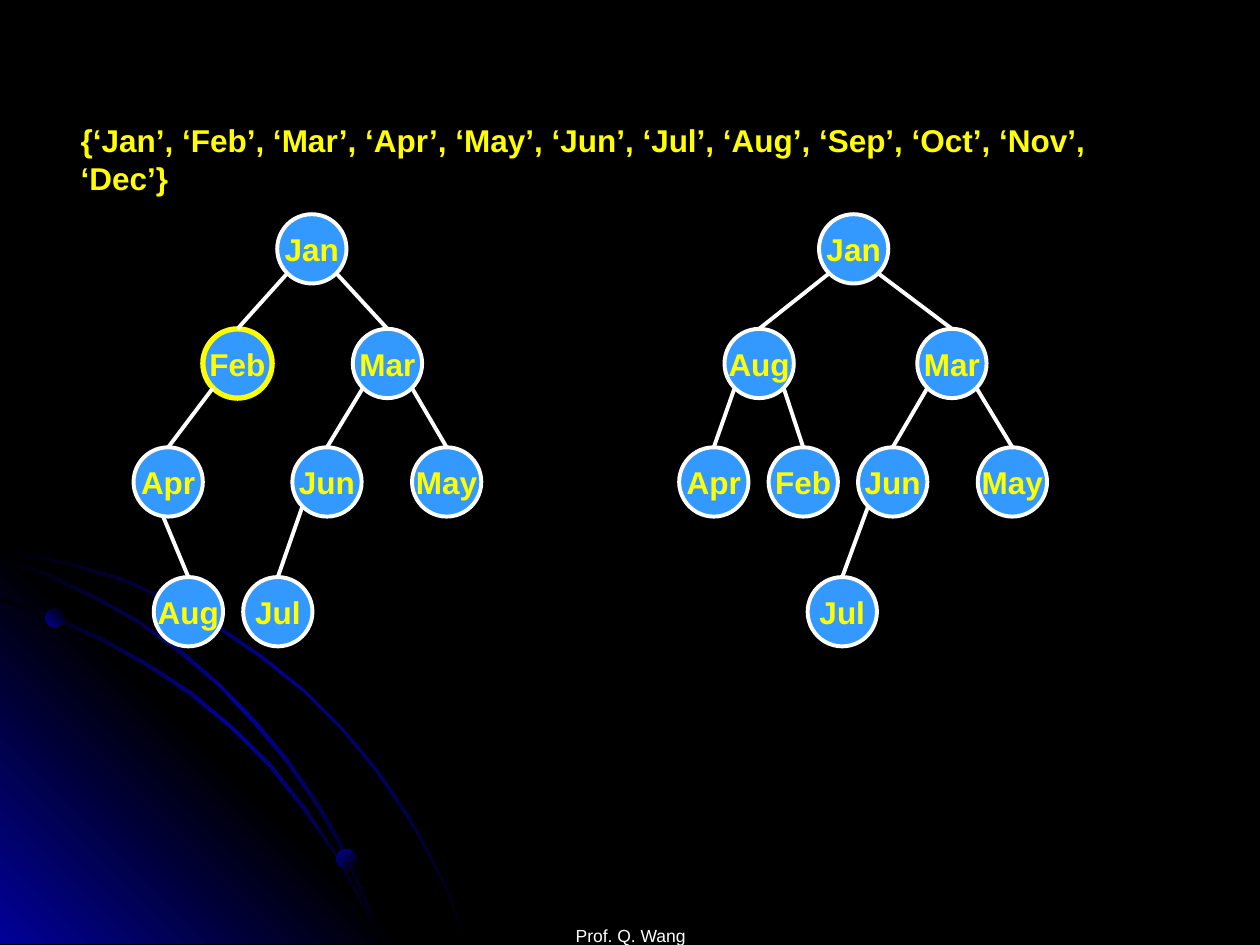
"""Build a slide that shows a rebalanced pair of month search trees."""
from lxml import etree
from pptx import Presentation
from pptx import util as u
from pptx.dml.color import RGBColor
from pptx.enum import shapes, text
from pptx.oxml import parse_xml
from pptx.oxml.ns import nsdecls, qn

COLORS = {"black": "000000", "navy": "010199", "node": "3399FF",
          "white": "FFFFFF", "yellow": "FFFF00"}
FONT = "Arial"
MONTHS = "{‘Jan’, ‘Feb’, ‘Mar’, ‘Apr’, ‘May’, ‘Jun’, ‘Jul’, ‘Aug’, ‘Sep’, ‘Oct’, ‘Nov’, ‘Dec’}"
FOOTER = "Prof. Q. Wang"

NODE_SIZE = 0.55
DIAGONAL = 0.195
LEVEL_TOPS = [1.7, 2.61, 3.55, 4.58]
HIGHLIGHT = (0, "Feb")
STEEP_EDGE = (0, "Aug")
TREES = [
    [("Jan", 2.2, 0, None), ("Feb", 1.61, 1, "Jan"), ("Mar", 2.8, 1, "Jan"),
     ("Apr", 1.06, 2, "Feb"), ("May", 3.27, 2, "Mar"), ("Jun", 2.32, 2, "Mar"),
     ("Jul", 1.93, 3, "Jun"), ("Aug", 1.22, 3, "Apr")],
    [("Jan", 6.5, 0, None), ("Aug", 5.75, 1, "Jan"), ("Mar", 7.28, 1, "Jan"),
     ("Apr", 5.39, 2, "Aug"), ("Feb", 6.1, 2, "Aug"), ("May", 7.76, 2, "Mar"),
     ("Jun", 6.81, 2, "Mar"), ("Jul", 6.41, 3, "Jun")],
]

ARC_STOPS = [(0, "black"), (50, "navy"), (100, "black")]
GLOW_STOPS = [(0, "navy"), (50, "black"), (100, "navy")]
DOT_STOPS = [(0, "navy"), (100, "black")]
OUTER_ARC = [
    (0.57, 4.47), (0.28, 4.41), (0, 4.35), (0, 4.38), (0.28, 4.43), (0.56, 4.49),
    (0.97, 4.61), (1.35, 4.78), (1.73, 4.99), (2.08, 5.23), (2.41, 5.49), (2.71, 5.79),
    (2.98, 6.12), (3.23, 6.49), (3.37, 6.73), (3.5, 6.98), (3.6, 7.23), (3.7, 7.49),
    (3.72, 7.49), (3.62, 7.23), (3.52, 6.98), (3.39, 6.73), (3.25, 6.48), (3, 6.11),
    (2.72, 5.78), (2.42, 5.48), (2.09, 5.21), (1.74, 4.97), (1.36, 4.77), (0.98, 4.59)]
GLOW = [(3.22, 7.49), (0, 7.49), (0, 4.27)]
INNER_ARC = [
    (2.85, 7.14), (2.94, 7.32), (3.01, 7.49), (3.03, 7.49), (2.96, 7.3), (2.86, 7.12),
    (2.66, 6.76), (2.42, 6.4), (2.15, 6.06), (1.84, 5.76), (1.52, 5.49), (1.17, 5.26),
    (0.79, 5.05), (0.41, 4.88), (0, 4.75), (0, 4.77), (0.39, 4.9), (0.77, 5.07),
    (1.15, 5.28), (1.5, 5.51), (1.83, 5.78), (2.13, 6.08), (2.4, 6.42), (2.65, 6.77)]
MIDDLE_ARC = [
    (0, 4.42), (0, 4.44), (0.36, 4.57), (0.74, 4.75), (1.09, 4.94), (1.42, 5.18),
    (1.73, 5.44), (2.02, 5.75), (2.27, 6.05), (2.52, 6.41), (2.67, 6.67), (2.8, 6.94),
    (2.92, 7.22), (3.01, 7.49), (3.03, 7.49), (2.94, 7.2), (2.82, 6.93), (2.69, 6.65),
    (2.54, 6.39), (2.29, 6.03), (2.04, 5.73), (1.75, 5.43), (1.44, 5.16), (1.11, 4.93),
    (0.76, 4.73), (0.39, 4.55)]
BACKDROP = [(OUTER_ARC, ARC_STOPS, 45), (GLOW, GLOW_STOPS, 315),
            (INNER_ARC, ARC_STOPS, 45), (MIDDLE_ARC, ARC_STOPS, 45)]
DOTS = [(0.36, 4.83, 0.15, 315), (2.67, 6.74, 0.16, 45)]


def rgb(name):
    return RGBColor.from_string(COLORS[name])


def fill_gradient(shape, stops, angle):
    shape.shadow.inherit = False
    shape.line.fill.background()
    marks = "".join(f'<a:gs pos="{position * 1000}"><a:srgbClr val="{COLORS[name]}"/></a:gs>'
                    for position, name in stops)
    gradient = parse_xml(f'<a:gradFill {nsdecls("a")} rotWithShape="1"><a:gsLst>{marks}</a:gsLst>'
                         f'<a:lin ang="{angle * 60000}" scaled="1"/></a:gradFill>')
    shape.element.spPr.find(qn("a:ln")).addprevious(gradient)


def add_backdrop(slide):
    for points, stops, angle in BACKDROP:
        start, *rest = [(u.Inches(x), u.Inches(y)) for x, y in points]
        builder = slide.shapes.build_freeform(*start)
        builder.add_line_segments(rest, close=True)
        fill_gradient(builder.convert_to_shape(), stops, angle)
    for left, top, size, angle in DOTS:
        dot = slide.shapes.add_shape(shapes.MSO_SHAPE.OVAL, u.Inches(left), u.Inches(top),
                                     u.Inches(size), u.Inches(size))
        fill_gradient(dot, DOT_STOPS, angle)


def write(shape, words, size, color, bold, align, anchor, wrap):
    frame = shape.text_frame
    frame.auto_size = text.MSO_AUTO_SIZE.NONE
    frame.word_wrap = wrap
    frame.vertical_anchor = anchor
    paragraph = frame.paragraphs[0]
    paragraph.alignment = align
    run = paragraph.add_run()
    run.text = words
    run.font.name = FONT
    run.font.size = u.Pt(size)
    run.font.bold = bold
    run.font.color.rgb = rgb(color)


def add_node(slide, label, left, top, highlighted):
    node = slide.shapes.add_shape(shapes.MSO_SHAPE.OVAL, u.Inches(left), u.Inches(top),
                                  u.Inches(NODE_SIZE), u.Inches(NODE_SIZE))
    node.shadow.inherit = False
    node.fill.solid()
    node.fill.fore_color.rgb = rgb("node")
    node.line.color.rgb = rgb("yellow" if highlighted else "white")
    node.line.width = u.Pt(3 if highlighted else 2.25)
    write(node, label, 18, "yellow", True, text.PP_ALIGN.CENTER, text.MSO_ANCHOR.MIDDLE, False)
    return node


def add_edge(slide, parent, child, steep):
    side = 1 if child.left > parent.left else -1
    across, down = (-0.04, NODE_SIZE / 2) if steep else (side * DIAGONAL, DIAGONAL)
    edge = slide.shapes.add_connector(
        shapes.MSO_CONNECTOR.STRAIGHT,
        parent.left + parent.width // 2 + u.Inches(across),
        parent.top + parent.height // 2 + u.Inches(down),
        child.left + child.width // 2, child.top)
    edge.end_connect(child, 0)
    edge.line.color.rgb = rgb("white")
    edge.line.width = u.Pt(2.25)
    etree.SubElement(edge.element.spPr, qn("a:effectLst"))


def add_tree(slide, index, tree):
    nodes = {}
    for label, left, level, parent in tree:
        key = (index, label)
        nodes[label] = add_node(slide, label, left, LEVEL_TOPS[level], key == HIGHLIGHT)
        if parent:
            add_edge(slide, nodes[parent], nodes[label], key == STEEP_EDGE)


def main():
    presentation = Presentation()
    presentation.slide_width, presentation.slide_height = u.Inches(10), u.Inches(7.5)
    slide = presentation.slides.add_slide(presentation.slide_layouts[5])
    slide.background.fill.solid()
    slide.background.fill.fore_color.rgb = rgb("black")
    add_backdrop(slide)

    title = slide.shapes.title
    title.left, title.top = u.Inches(0.54), u.Inches(0.91)
    title.width, title.height = u.Inches(8.9), u.Inches(0.7)
    write(title, MONTHS, 18, "yellow", True, text.PP_ALIGN.LEFT, text.MSO_ANCHOR.TOP, True)

    footer = slide.shapes.add_textbox(u.Inches(3.42), u.Inches(7.01), u.Inches(3.17), u.Inches(0.5))
    footer.text_frame.margin_bottom = 0
    write(footer, FOOTER, 10, "white", False, text.PP_ALIGN.CENTER, text.MSO_ANCHOR.BOTTOM, True)

    for index, tree in enumerate(TREES):
        add_tree(slide, index, tree)
    presentation.save("out.pptx")


if __name__ == "__main__":
    main()
